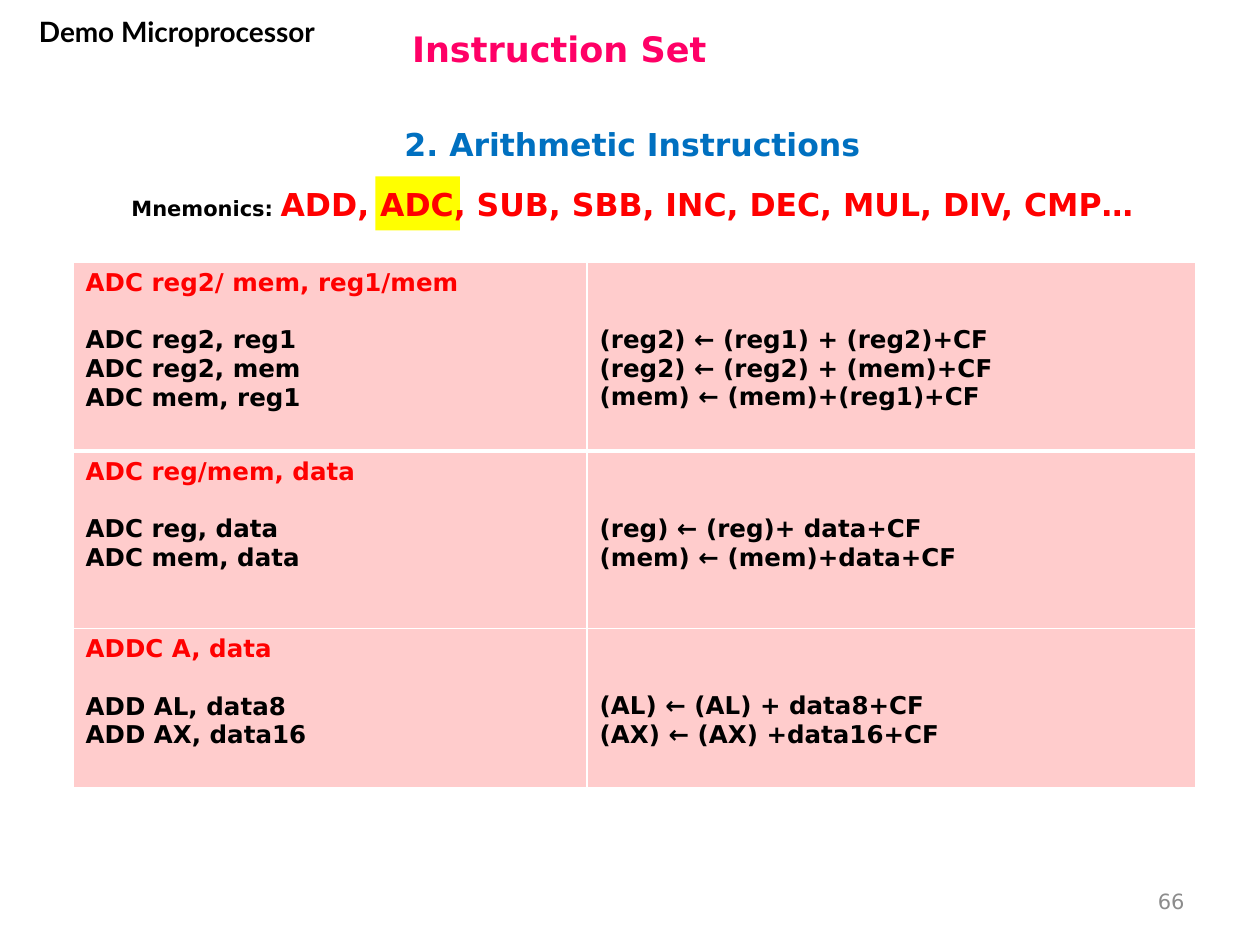
"""Build the microprocessor arithmetic instruction slide about ADC."""
from dataclasses import dataclass

import lxml.etree
import pptx
import pptx.dml.color
import pptx.enum.shapes
import pptx.enum.text
import pptx.oxml.ns
import pptx.util

Inches = pptx.util.Inches
Pt = pptx.util.Pt
ALIGN = pptx.enum.text.PP_ALIGN
ANCHOR = pptx.enum.text.MSO_ANCHOR
BLACK, RED, WHITE = "000000", "FF0000", "FFFFFF"
LINE_HEIGHT = 16.3


@dataclass
class Instruction:
    """One table row: a general form, its variants and their operations."""
    height: float
    form: str
    variants: list[str]
    operations: list[str]


INSTRUCTIONS = [
    Instruction(1.5, "ADC reg2/ mem, reg1/mem",
                ["ADC reg2, reg1", "ADC reg2, mem", "ADC mem, reg1"],
                ["(reg2) ← (reg1) + (reg2)+CF", "(reg2) ← (reg2) + (mem)+CF",
                 "(mem) ← (mem)+(reg1)+CF"]),
    Instruction(1.41, "ADC reg/mem, data",
                ["ADC reg, data", "ADC mem, data"],
                ["(reg) ← (reg)+ data+CF", "(mem) ← (mem)+data+CF"]),
    Instruction(1.26, "ADDC A, data",
                ["ADD AL, data8", "ADD AX, data16"],
                ["(AL) ← (AL) + data8+CF", "(AX) ← (AX) +data16+CF"]),
]


def color(value: str) -> pptx.dml.color.RGBColor:
    """Turn a hex string into a colour."""
    return pptx.dml.color.RGBColor.from_string(value)


def write(paragraph, text: str, *, size: float = 14, fill: str = BLACK,
          bold: bool = True, font: str = "DejaVu Sans", align=ALIGN.LEFT) -> None:
    """Add one formatted run to a paragraph."""
    paragraph.alignment = align
    run = paragraph.add_run()
    run.text = text
    run.font.size = Pt(size)
    run.font.bold = bold
    run.font.name = font
    run.font.color.rgb = color(fill)


def add_box(slide, left: float, top: float, width: float, height: float,
            anchor=ANCHOR.TOP):
    """Add a wrapping text box and return its first paragraph."""
    shape = slide.shapes.add_textbox(*map(Inches, (left, top, width, height)))
    shape.text_frame.word_wrap = True
    shape.text_frame.vertical_anchor = anchor
    return shape.text_frame.paragraphs[0]


def write_lines(cell, lines: list[str], fill: str = BLACK) -> None:
    """Write one paragraph per line into a cell."""
    frame = cell.text_frame
    for index, line in enumerate(lines):
        paragraph = frame.add_paragraph() if index else frame.paragraphs[0]
        write(paragraph, line, fill=fill)


def format_cell(cell, top_width: float, bottom_width: float) -> None:
    """Give a cell white borders and a pink fill."""
    properties = cell._tc.get_or_add_tcPr()
    qn = pptx.oxml.ns.qn
    for side, width in zip("LRTB", (1, 1, top_width, bottom_width)):
        line = lxml.etree.SubElement(properties, qn(f"a:ln{side}"), w=str(Pt(width)))
        solid = lxml.etree.SubElement(line, qn("a:solidFill"))
        lxml.etree.SubElement(solid, qn("a:srgbClr"), val=WHITE)
    cell.fill.solid()
    cell.fill.fore_color.rgb = color("FFCCCC")


def add_instruction_table(slide) -> None:
    """Draw the table of instruction forms and operations."""
    table = slide.shapes.add_table(
        len(INSTRUCTIONS), 2, Inches(0.58), Inches(2.08), Inches(8.91),
        Inches(sum(item.height for item in INSTRUCTIONS))).table
    for column, width in zip(table.columns, (4.08, 4.83)):
        column.width = Inches(width)
    for index, item in enumerate(INSTRUCTIONS):
        table.rows[index].height = Inches(item.height)
        left, right = table.cell(index, 0), table.cell(index, 1)
        for cell in (left, right):
            format_cell(cell, 3 if index == 1 else 1, 3 if index == 0 else 1)
        write_lines(left, [item.form, *item.variants])
        left.text_frame.paragraphs[0].runs[0].font.color.rgb = color(RED)
        left.text_frame.paragraphs[1].space_before = Pt(LINE_HEIGHT)
        right.margin_top = Inches(0.05) + Pt(2 * LINE_HEIGHT)
        write_lines(right, item.operations)


def main() -> None:
    """Create and save the presentation."""
    presentation = pptx.Presentation()
    presentation.slide_width, presentation.slide_height = Inches(10), Inches(7.5)
    slide = presentation.slides.add_slide(presentation.slide_layouts[5])

    highlight = slide.shapes.add_shape(
        pptx.enum.shapes.MSO_SHAPE.RECTANGLE,
        Inches(2.98), Inches(1.4), Inches(0.67), Inches(0.43))
    highlight.shadow.inherit = False
    highlight.fill.solid()
    highlight.fill.fore_color.rgb = color("FFFF00")
    highlight.line.fill.background()

    title = slide.shapes.title
    title.left, title.top = Inches(3.17), Inches(0.12)
    title.width, title.height = Inches(6.58), Inches(0.53)
    title.text_frame.auto_size = pptx.enum.text.MSO_AUTO_SIZE.NONE
    title.text_frame.vertical_anchor = ANCHOR.MIDDLE
    write(title.text_frame.paragraphs[0], "Instruction Set", size=20, fill="FF0066")

    write(add_box(slide, 0.29, 0.93, 9.46, 0.43, ANCHOR.MIDDLE),
          "2. Arithmetic Instructions", size=18, fill="0070C0", align=ALIGN.CENTER)
    write(add_box(slide, 7.17, 6.95, 2.33, 0.4, ANCHOR.MIDDLE),
          "66", size=12, fill="8C8C8C", bold=False, align=ALIGN.RIGHT)
    write(add_box(slide, 0.07, 0.07, 2.67, 0.64),
          "Demo Microprocessor", size=16, font="Lato", align=ALIGN.CENTER)
    mnemonics = add_box(slide, 0.29, 1.42, 9.46, 0.4)
    write(mnemonics, "Mnemonics: ", size=12, align=ALIGN.CENTER)
    write(mnemonics, "ADD, ADC, SUB, SBB, INC, DEC, MUL, DIV, CMP…",
          size=18, fill=RED, align=ALIGN.CENTER)
    add_instruction_table(slide)
    presentation.save("out.pptx")


if __name__ == "__main__":
    main()
